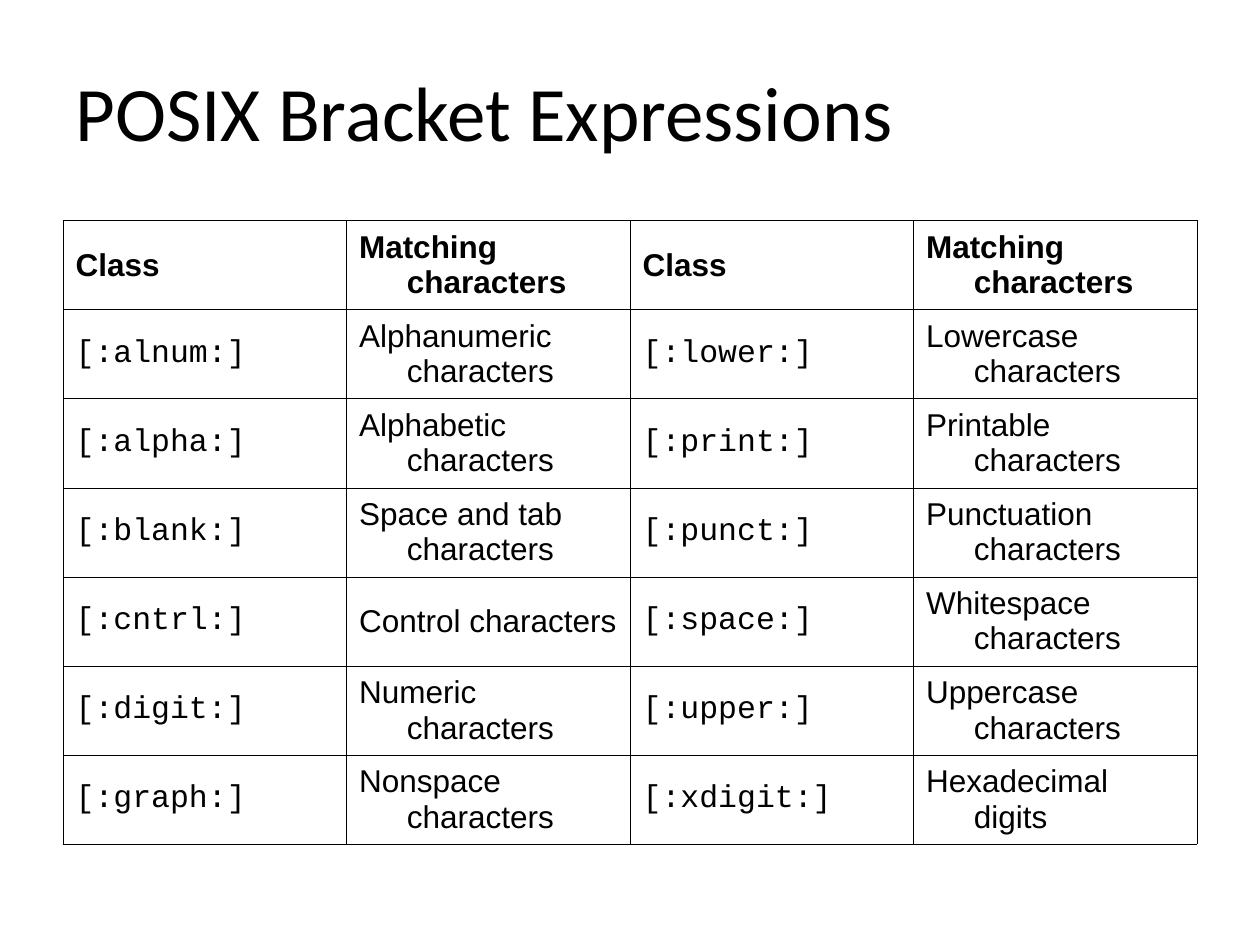
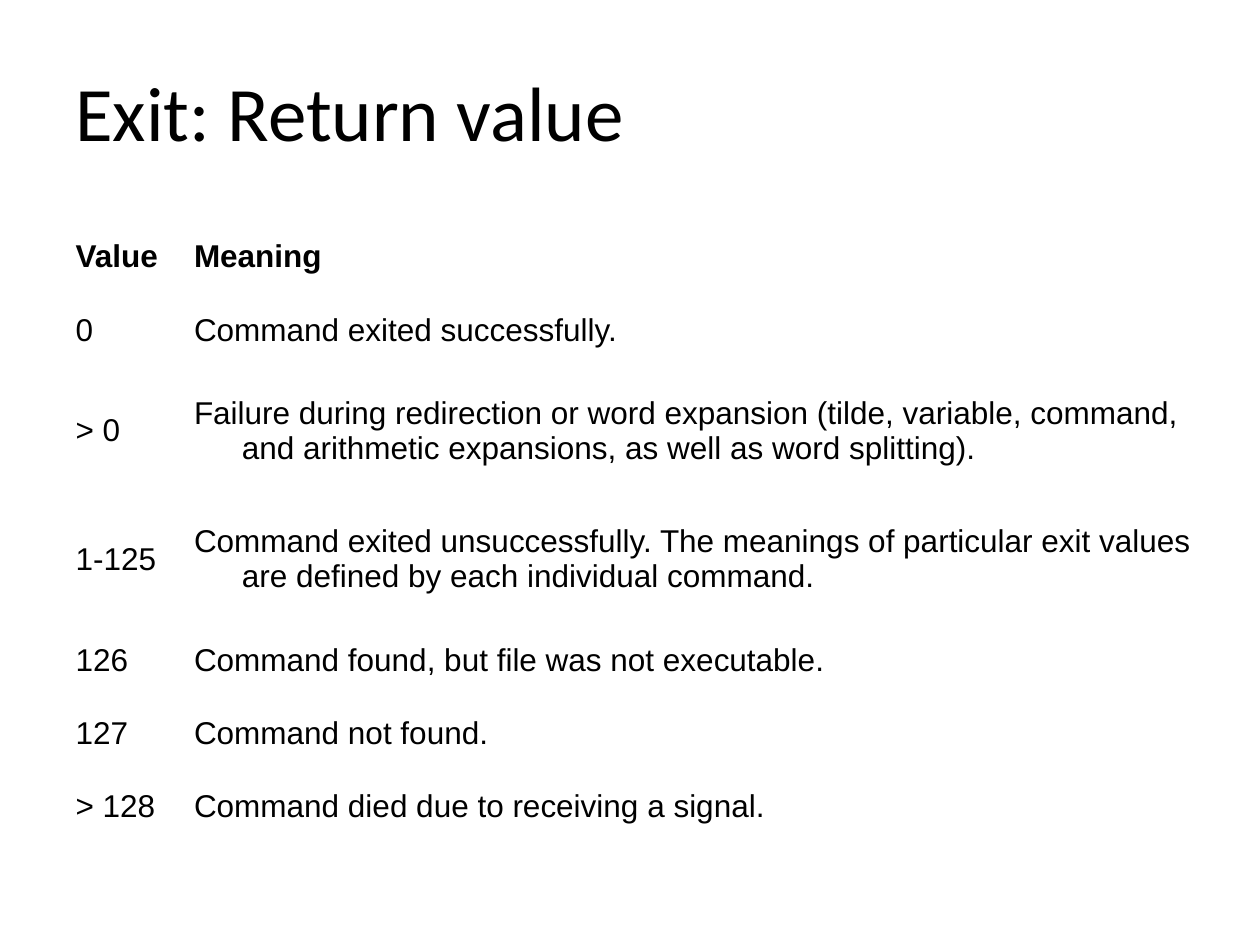
from dataclasses import dataclass

from lxml.etree import SubElement
from pptx import Presentation
from pptx.dml.color import RGBColor
from pptx.enum.text import MSO_ANCHOR
from pptx.oxml.ns import qn
from pptx.util import Inches, Pt


@dataclass(frozen=True)
class Theme:
    ink: str = "000000"
    title_font: str = "Calibri"
    body_font: str = "Arial"
    code_font: str = "Courier New"
    title_size: int = 44
    body_size: int = 18
    rule_width: float = 0.34
    hanging_indent: float = 0.38
    plain_table_style: str = "{2D5ABB26-0587-4C30-8999-92F81FD0307C}"


THEME = Theme()
TITLE_BOX = (0.5, 0.3, 9, 1.25)
CLASS_TABLE_BOX = (0.5, 1.75, 9, 4.95)
EXIT_TABLE_BOX = (0.5, 1.75, 9.17, 4.94)

CLASS_ROWS = [
    ("Class", "Matching characters") * 2,
    ("[:alnum:]", "Alphanumeric characters", "[:lower:]", "Lowercase characters"),
    ("[:alpha:]", "Alphabetic characters", "[:print:]", "Printable characters"),
    ("[:blank:]", "Space and tab characters", "[:punct:]", "Punctuation characters"),
    ("[:cntrl:]", "Control characters", "[:space:]", "Whitespace characters"),
    ("[:digit:]", "Numeric characters", "[:upper:]", "Uppercase characters"),
    ("[:graph:]", "Nonspace characters", "[:xdigit:]", "Hexadecimal digits"),
]
EXIT_ROWS = [
    ("Value", "Meaning"),
    ("0", "Command exited successfully."),
    ("> 0", "Failure during redirection or word expansion (tilde, variable, "
            "command, and arithmetic expansions, as well as word splitting)."),
    ("1-125", "Command exited unsuccessfully. The meanings of particular exit "
              "values are defined by each individual command."),
    ("126", "Command found, but file was not executable."),
    ("127", "Command not found."),
    ("> 128", "Command died due to receiving a signal."),
]
VALUE_WIDTH = 0.94
SHORT_ROW, TALL_ROW = 0.58, 1.02
TALL_ROWS = (2, 3)


def write_text(para, text, font, size, bold=False):
    span = para.add_run()
    span.text = text
    for name, value in {"name": font, "size": Pt(size), "bold": bold}.items():
        setattr(span.font, name, value)
    span.font.color.rgb = RGBColor.from_string(THEME.ink)


def add_title(page, text, box):
    frame = page.shapes.add_textbox(*map(Inches, box)).text_frame
    frame.word_wrap = True
    frame.vertical_anchor = MSO_ANCHOR.MIDDLE
    para = frame.paragraphs[0]
    para.line_spacing = 0.9
    write_text(para, text, THEME.title_font, THEME.title_size)


def add_cell_rules(cell):
    properties = cell._tc.get_or_add_tcPr()
    for side in ("lnL", "lnR", "lnT", "lnB"):
        line = SubElement(properties, qn(f"a:{side}"), w=str(Pt(THEME.rule_width)))
        fill = SubElement(line, qn("a:solidFill"))
        SubElement(fill, qn("a:srgbClr"), val=THEME.ink)


def fill_cell(cell, text, font, bold, ruled):
    if ruled:
        add_cell_rules(cell)
    cell.fill.background()
    cell.vertical_anchor = MSO_ANCHOR.MIDDLE
    para = cell.text_frame.paragraphs[0]
    indent = Inches(THEME.hanging_indent)
    properties = para._p.get_or_add_pPr()
    for name, value in {"marL": indent, "indent": -indent}.items():
        properties.set(name, str(value))
    write_text(para, text, font, THEME.body_size, bold)


def add_text_table(page, rows, box, widths, heights, code_columns=(), ruled=False):
    """Add a table with a bold first row; code_columns are set in the code font."""
    table = page.shapes.add_table(len(rows), len(widths), *map(Inches, box)).table
    table.first_row = table.horz_banding = False
    table._tbl.tblPr.find(qn("a:tableStyleId")).text = THEME.plain_table_style
    for column, width in zip(table.columns, widths):
        column.width = Inches(width)
    for row, height in zip(table.rows, heights):
        row.height = Inches(height)
    for row_index, texts in enumerate(rows):
        is_header = row_index == 0
        for column_index, text in enumerate(texts):
            is_code = column_index in code_columns and not is_header
            font = THEME.code_font if is_code else THEME.body_font
            fill_cell(table.cell(row_index, column_index), text, font, is_header, ruled)


def build_bracket_page(page):
    add_title(page, "POSIX Bracket Expressions", TITLE_BOX)
    width, height = CLASS_TABLE_BOX[2:]
    row_count, column_count = len(CLASS_ROWS), len(CLASS_ROWS[0])
    add_text_table(page, CLASS_ROWS, CLASS_TABLE_BOX,
                   [width / column_count] * column_count,
                   [height / row_count] * row_count,
                   code_columns=(0, 2), ruled=True)


def build_exit_page(page):
    add_title(page, "Exit: Return value", TITLE_BOX)
    heights = [TALL_ROW if index in TALL_ROWS else SHORT_ROW
               for index in range(len(EXIT_ROWS))]
    add_text_table(page, EXIT_ROWS, EXIT_TABLE_BOX,
                   [VALUE_WIDTH, EXIT_TABLE_BOX[2] - VALUE_WIDTH], heights)


def main():
    deck = Presentation()
    deck.slide_width, deck.slide_height = Inches(10), Inches(7.5)
    blank_layout = deck.slide_layouts[6]
    for build_page in (build_bracket_page, build_exit_page):
        build_page(deck.slides.add_slide(blank_layout))
    deck.save("out.pptx")


if __name__ == "__main__":
    main()
